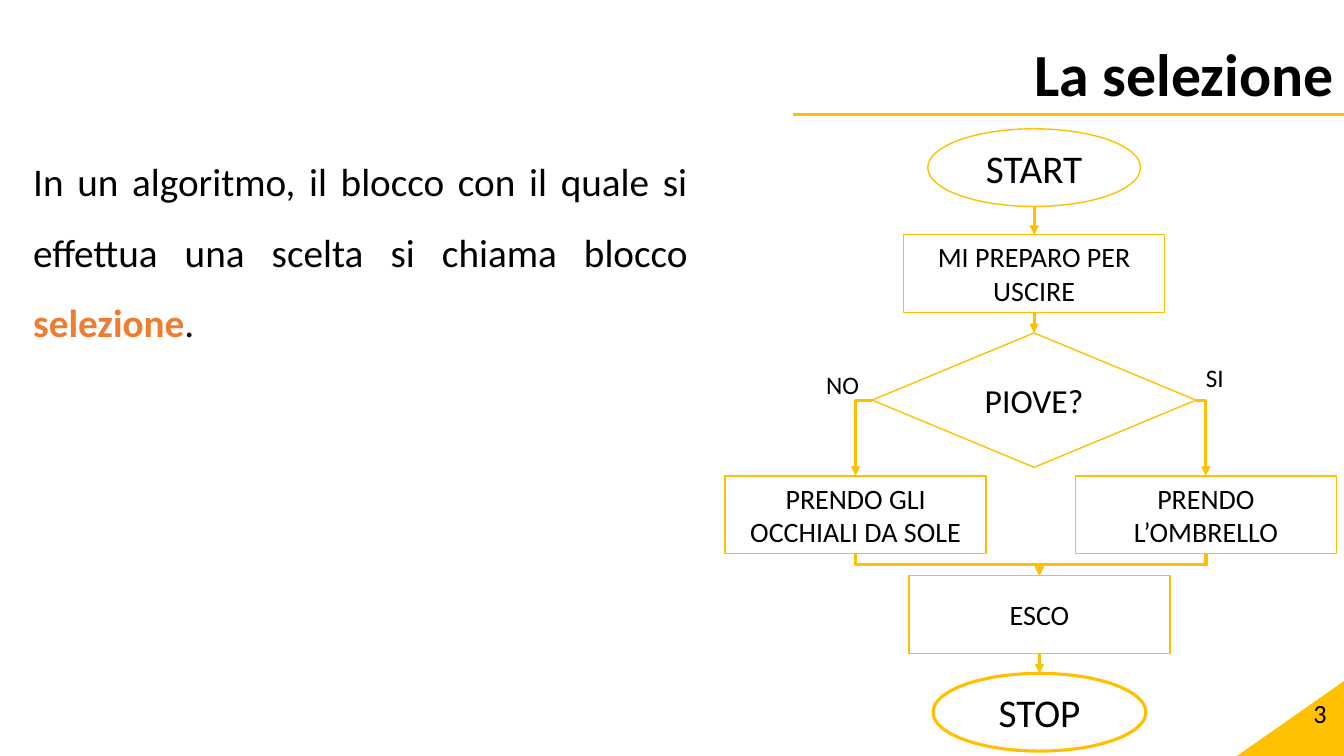
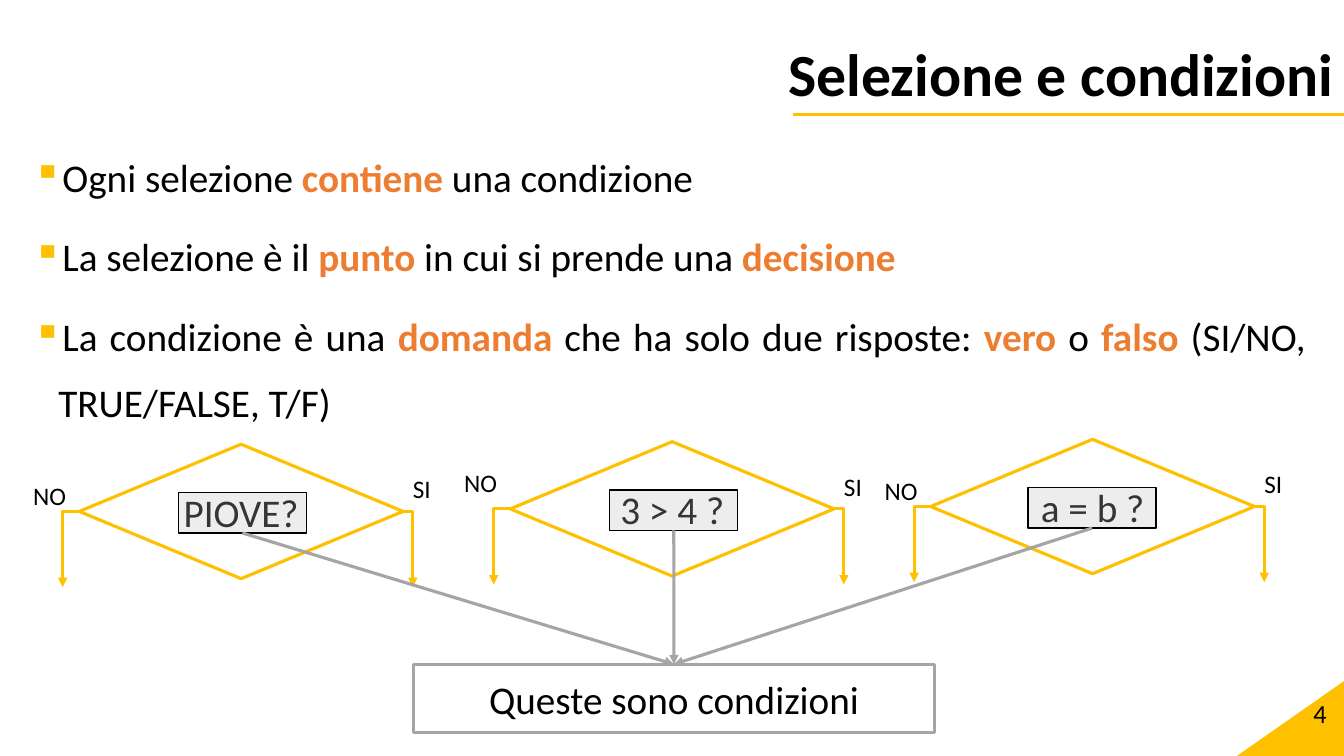
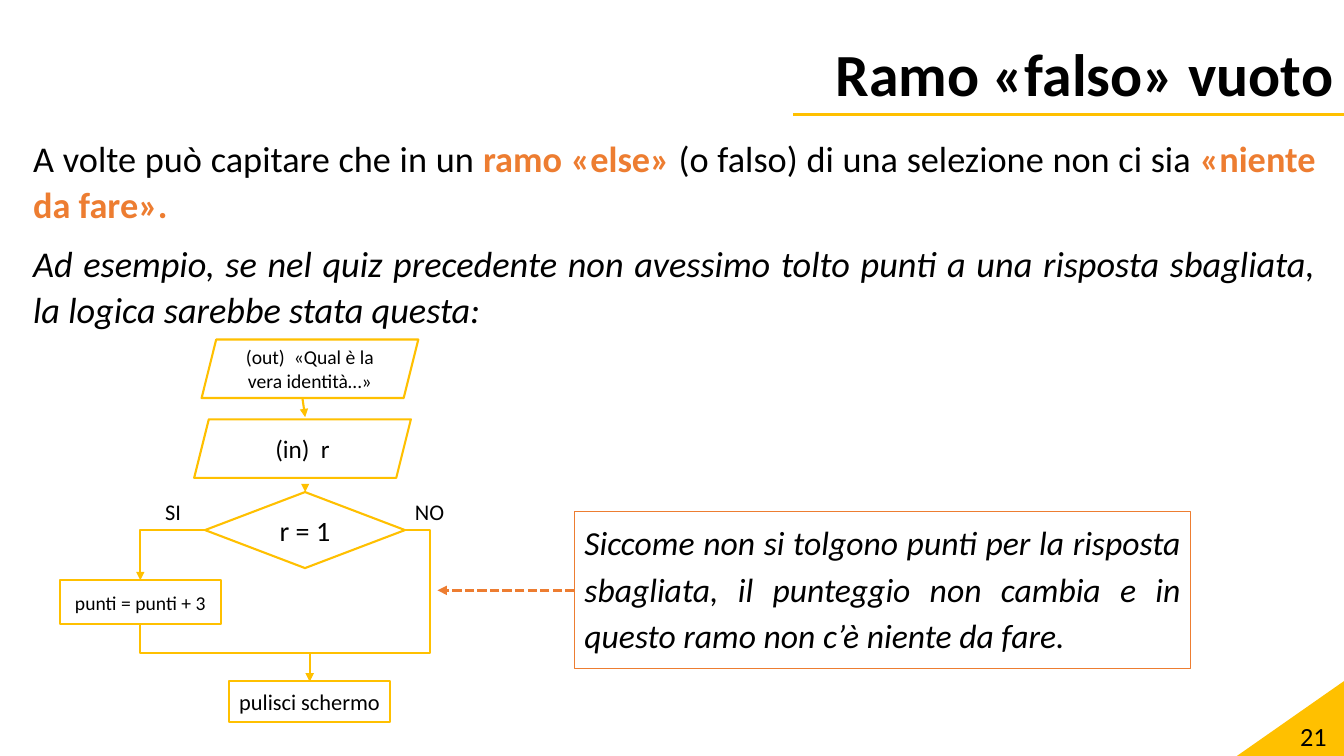
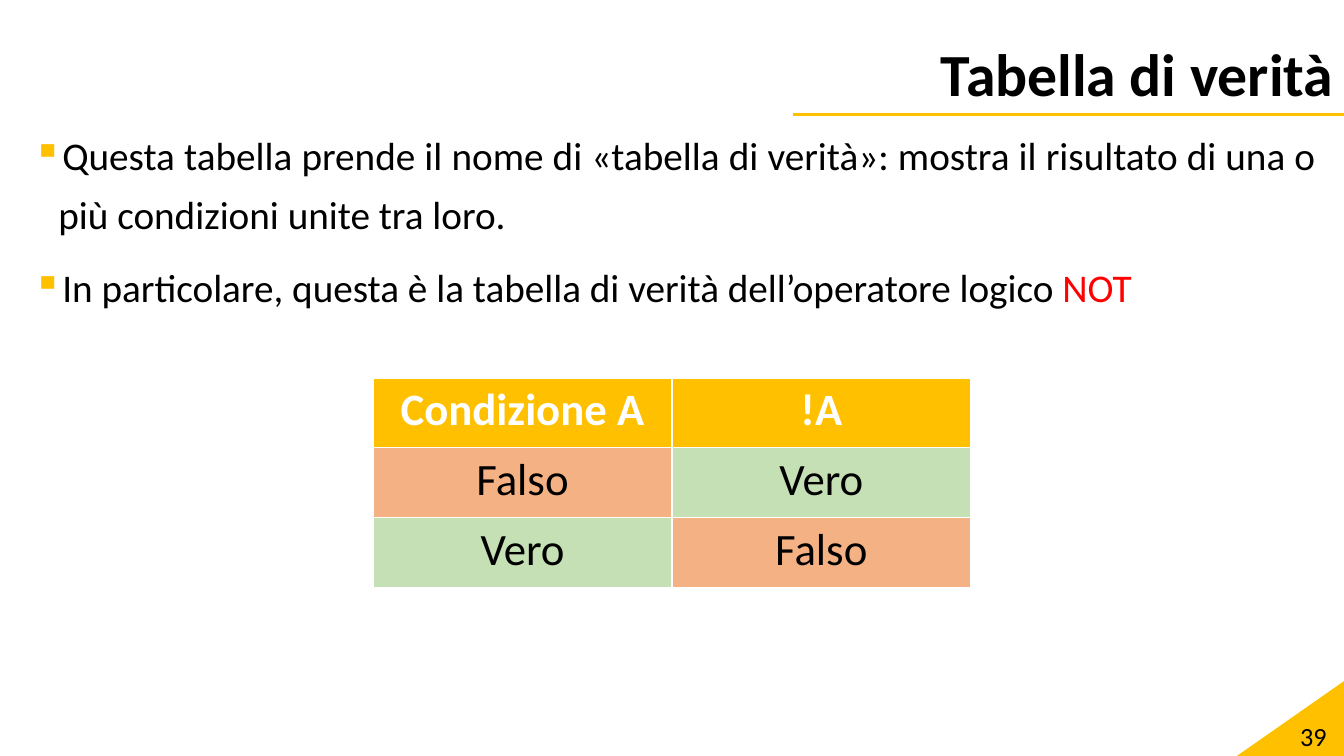
from pptx import Presentation
from pptx.dml.color import RGBColor
from pptx.enum.dml import MSO_LINE as Dash
from pptx.enum.shapes import MSO_CONNECTOR as Link, MSO_SHAPE as Form
from pptx.enum.text import MSO_ANCHOR as Anchor, MSO_AUTO_SIZE as Fit, PP_ALIGN as Align
from pptx.oxml.ns import qn
from pptx.util import Pt
from lxml.etree import SubElement as sub

GOLD = RGBColor(0xFF, 0xC0, 0x00)
ORANGE = RGBColor(0xED, 0x7D, 0x31)
GREY = RGBColor(0xA5, 0xA5, 0xA5)
SILVER = RGBColor(0xBF, 0xBF, 0xBF)
PEACH = RGBColor(0xF4, 0xB1, 0x83)
GREEN = RGBColor(0xC5, 0xE0, 0xB4)
RED = RGBColor(0xFF, 0x00, 0x00)
BLACK = RGBColor(0x00, 0x00, 0x00)
WHITE = RGBColor(0xFF, 0xFF, 0xFF)
FONT = "Calibri"
WIDE, HIGH = 960, 540


def write(frame, text, size=28, color=BLACK, bold=False, italic=False, align=Align.LEFT,
          lines=None, before=None, bullet=False, accent=ORANGE, strong=True):
    """Add one paragraph; parts between asterisks take the accent format."""
    para = frame.add_paragraph() if frame.text else frame.paragraphs[0]
    para.alignment = align
    if lines:
        para.line_spacing = lines
    if before:
        para.space_before = Pt(before)
    if bullet:
        props = para._p.get_or_add_pPr()
        props.set("marL", str(Pt(18)))
        props.set("indent", str(Pt(-18)))
        tint = sub(props, qn("a:buClr"))
        sub(tint, qn("a:srgbClr"), val=str(GOLD))
        sub(props, qn("a:buChar"), char="▪")
    for i, part in enumerate(text.split("*")):
        if part:
            run = para.add_run()
            run.text = part
            font = run.font
            font.name, font.size, font.italic = FONT, Pt(size), italic
            font.bold = strong if i % 2 else bold
            font.color.rgb = accent if i % 2 else color


class Deck:
    """Holds the shared style and the current slide."""

    def __init__(self):
        self.show = Presentation()
        self.show.slide_width, self.show.slide_height = Pt(WIDE), Pt(HIGH)

    def page(self, title, number, top=494.6):
        self.slide = self.show.slides.add_slide(self.show.slide_layouts[5])
        self.shapes = self.slide.shapes
        corner = self.shape(Form.RIGHT_TRIANGLE, 883.5, 486.5, 76.5, 53.5, fill=GOLD, line=None)
        corner.element.spPr.find(qn("a:xfrm")).set("flipH", "1")
        self.line(566.6, 82, WIDE, 82, head=False)
        head = self.shapes.title
        head.left, head.top, head.width, head.height = Pt(0), Pt(28.8), Pt(WIDE), Pt(53.3)
        frame = head.text_frame
        frame.auto_size, frame.vertical_anchor = Fit.NONE, Anchor.MIDDLE
        write(frame, title, size=42.7, bold=True, align=Align.RIGHT, lines=0.9)
        self.text(738.7, top, 216, 28.8, number, size=18.7, align=Align.RIGHT, anchor=Anchor.MIDDLE)

    def text(self, x, y, w, h, *paras, anchor=Anchor.TOP, **style):
        frame = self.shapes.add_textbox(Pt(x), Pt(y), Pt(w), Pt(h)).text_frame
        frame.word_wrap, frame.vertical_anchor = True, anchor
        for para in paras:
            write(frame, para, **style)
        return frame

    def shape(self, form, x, y, w, h, text="", fill=WHITE, line=GOLD, weight=1, alpha=None,
              anchor=Anchor.MIDDLE, align=Align.CENTER, **style):
        item = self.shapes.add_shape(form, Pt(x), Pt(y), Pt(w), Pt(h))
        item.shadow.inherit = False
        item.fill.solid()
        item.fill.fore_color.rgb = fill
        if alpha:
            tint = item.element.spPr.find(qn("a:solidFill"))[0]
            sub(tint, qn("a:alpha"), val=str(alpha * 1000))
        if line is None:
            item.line.fill.background()
        else:
            item.line.color.rgb, item.line.width = line, Pt(weight)
        item.text_frame.word_wrap, item.text_frame.vertical_anchor = True, anchor
        if text:
            write(item.text_frame, text, align=align, **style)
        return item

    def line(self, x, y, to_x, to_y, color=GOLD, weight=2.25, head=True, dash=None,
             kind=Link.STRAIGHT):
        link = self.shapes.add_connector(kind, Pt(x), Pt(y), Pt(to_x), Pt(to_y))
        link.line.color.rgb, link.line.width = color, Pt(weight)
        if dash:
            link.line.dash_style = dash
        if head:
            sub(link.line._get_or_add_ln(), qn("a:tailEnd"), type="triangle")
        sub(link.element.spPr, qn("a:effectLst"))
        return link

    def elbow(self, *ends, bends=2, adjust=(), **style):
        link = self.line(*ends, kind=Link.ELBOW, **style)
        geom = link.element.spPr.find(qn("a:prstGeom"))
        geom.set("prst", f"bentConnector{bends}")
        guides = geom.find(qn("a:avLst"))
        for i, part in enumerate(adjust, 1):
            sub(guides, qn("a:gd"), name=f"adj{i}", fmla=f"val {round(part * 100000)}")
        return link

    def merge(self, x, y, to_x, to_y, **style):
        mid_x, mid_y = (x + to_x) / 2, (y + to_y) / 2
        half, span = (to_y - y) / 2, abs(to_x - x) / 2
        turn = 270 if to_x > x else 90
        if to_x < x:
            half = -half
        link = self.elbow(mid_x + half, mid_y - span, mid_x - half, mid_y + span, bends=3, **style)
        link.element.spPr.find(qn("a:xfrm")).set("rot", str(turn * 60000))

    def choice(self, x, y, text, size=28, weight=2.25, drop=22.3):
        w, h = 231.3, 96
        self.shape(Form.DIAMOND, x, y, w, h, text, size=size, weight=weight)
        mid = y + h / 2
        self.elbow(x + w, mid, x + w + 7, mid + 54)
        self.elbow(x, mid, x - 11.8, mid + 54)
        self.text(x + w, y + 17.3, 31, 28.8, "SI", size=18)
        self.text(x - 40, y + drop, 42.5, 28.8, "NO", size=18)

    def table(self, x, y, w, h, rows, fills):
        grid = self.shapes.add_table(len(rows), len(rows[0]), Pt(x), Pt(y), Pt(w), Pt(h)).table
        for r, row in enumerate(rows):
            for c, text in enumerate(row):
                cell = grid.cell(r, c)
                cell.fill.solid()
                cell.fill.fore_color.rgb = fills.get(text, GOLD)
                write(cell.text_frame, text, size=32, bold=r == 0, align=Align.CENTER,
                      color=BLACK if r else WHITE)


def choose(deck):
    deck.page("La selezione", "3")
    deck.text(16.6, 92.2, 481.7, 394.6,
              "In un algoritmo, il blocco con il quale si effettua una scelta "
              "si chiama blocco *selezione*.", align=Align.JUSTIFY, lines=1.5, before=10)
    w, h = 186.5, 55.5
    left, mid, low, right = 611.2, 738.7, 742.5, 861.4
    deck.shape(Form.OVAL, mid - 76, 92, 152, h, "START")
    for x, y, text in ((mid, 167.7, "MI PREPARO PER USCIRE"),
                       (left, 340, "PRENDO GLI OCCHIALI DA SOLE"),
                       (right, 340, "PRENDO L’OMBRELLO"),
                       (low, 411.3, "ESCO")):
        deck.shape(Form.RECTANGLE, x - w / 2, y, w, h, text, size=20)
    deck.shape(Form.OVAL, low - 76, 481, 152, h, "STOP", weight=2.25)
    deck.choice(623, 237.8, "PIOVE?", size=24, weight=1)
    for x, y, end in ((mid, 147.5, 167.7), (mid, 223.2, 237.8), (low, 466.8, 481)):
        deck.line(x, y, x, end)
    for x in (left, right):
        deck.merge(x, 395.5, low, 411.3)


def ask(deck):
    deck.page("Selezione e condizioni", "4")
    deck.text(16.6, 92.2, 923, 221.8,
              "Ogni selezione *contiene* una condizione",
              "La selezione è il *punto* in cui si prende una *decisione*",
              "La condizione è una *domanda* che ha solo due risposte: *vero* o *falso* "
              "(SI/NO, TRUE/FALSE, T/F)",
              align=Align.JUSTIFY, lines=1.4, before=10, bullet=True)
    tests = ((56.6, 317.3, "PIOVE?", 22.3, 127.4), (364.5, 315.5, "3 > 4 ?", 15, 435.6),
             (664.8, 313.8, "a = b ?", 22.3, 734.4))
    for x, y, text, drop, box in tests:
        deck.choice(x, y, text, drop=drop)
    for x, y, text, drop, box in tests:
        deck.shape(Form.RECTANGLE, box, y + 34.4, 91.4, 29, fill=SILVER, alpha=28, line=BLACK)
    deck.shape(Form.RECTANGLE, 295.2, 474.5, 372.5, 49, "Queste sono condizioni",
               line=GREY, weight=2.25)
    for x, y, text, drop, box in tests:
        deck.line(box + 45.7, y + 63.4, 481.4, 474.5, color=GREY)


def skip(deck):
    deck.page("Ramo «falso» vuoto", "21", top=511.2)
    body = deck.text(16.6, 92.2, 930.2, 153.4)
    form = dict(size=25.9, align=Align.JUSTIFY, lines=1.05, before=10)
    write(body, "A volte può capitare che in un *ramo «else» *(o falso) di una selezione "
          "non ci sia *«niente da fare».*", **form)
    write(body, "Ad esempio, se nel quiz precedente non avessimo tolto punti a una risposta "
          "sbagliata, la logica sarebbe stata questa:", italic=True, **form)
    for form, x, y, w, h, text, size in (
            (Form.DIAMOND, 146.5, 351.5, 142.8, 54.3, "r = 1", 20),
            (Form.RECTANGLE, 42.7, 414.4, 115.2, 31.5, "punti = punti + 3", 14),
            (Form.PARALLELOGRAM, 144, 242.5, 154.8, 41.8, "(out)  «Qual è la vera identità…»", 14),
            (Form.PARALLELOGRAM, 138.7, 299.5, 154.8, 41.8, "(in)  r", 18),
            (Form.RECTANGLE, 163.5, 486.7, 115.2, 29, "pulisci schermo", 16)):
        deck.shape(form, x, y, w, h, text, size=size, weight=1.5)
    deck.elbow(289.3, 378.6, 221.2, 486.7, bends=4, adjust=(-0.264, 0.814), weight=1.5)
    deck.elbow(146.5, 378.6, 100.3, 414.4, weight=1.5)
    deck.merge(100.3, 445.9, 221.2, 486.7, weight=1.5)
    deck.line(216, 284.3, 218, 298, weight=1.5)
    deck.line(218, 347, 218, 351.5, weight=1.5)
    deck.text(110.9, 352, 28.8, 26.6, "SI", size=16)
    deck.text(289.3, 352, 46, 26.6, "NO", size=16)
    deck.shape(Form.RECTANGLE, 410.4, 365.3, 440, 112.3,
               "Siccome non si tolgono punti per la risposta sbagliata, il punteggio non cambia "
               "e in questo ramo non c’è niente da fare.", line=ORANGE, anchor=Anchor.TOP,
               size=24, italic=True, align=Align.JUSTIFY, lines=1.15, before=10)
    deck.line(410.4, 421.7, 312.5, 421.7, color=ORANGE, dash=Dash.SQUARE_DOT)


def truth(deck):
    deck.page("Tabella di verità", "39", top=511.2)
    deck.text(16.6, 82, 930.2, 458,
              "Questa tabella prende il nome di «tabella di verità»: mostra il risultato di una "
              "o più condizioni unite tra loro.",
              "In particolare, questa è la tabella di verità dell’operatore logico *NOT*",
              align=Align.JUSTIFY, lines=1.25, before=10, bullet=True, accent=RED, strong=False)
    deck.table(266.6, 270, 426.8, 149.5,
               (("Condizione A", "!A"), ("Falso", "Vero"), ("Vero", "Falso")),
               {"Falso": PEACH, "Vero": GREEN})


deck = Deck()
for build in (choose, ask, skip, truth):
    build(deck)
deck.show.save("out.pptx")
